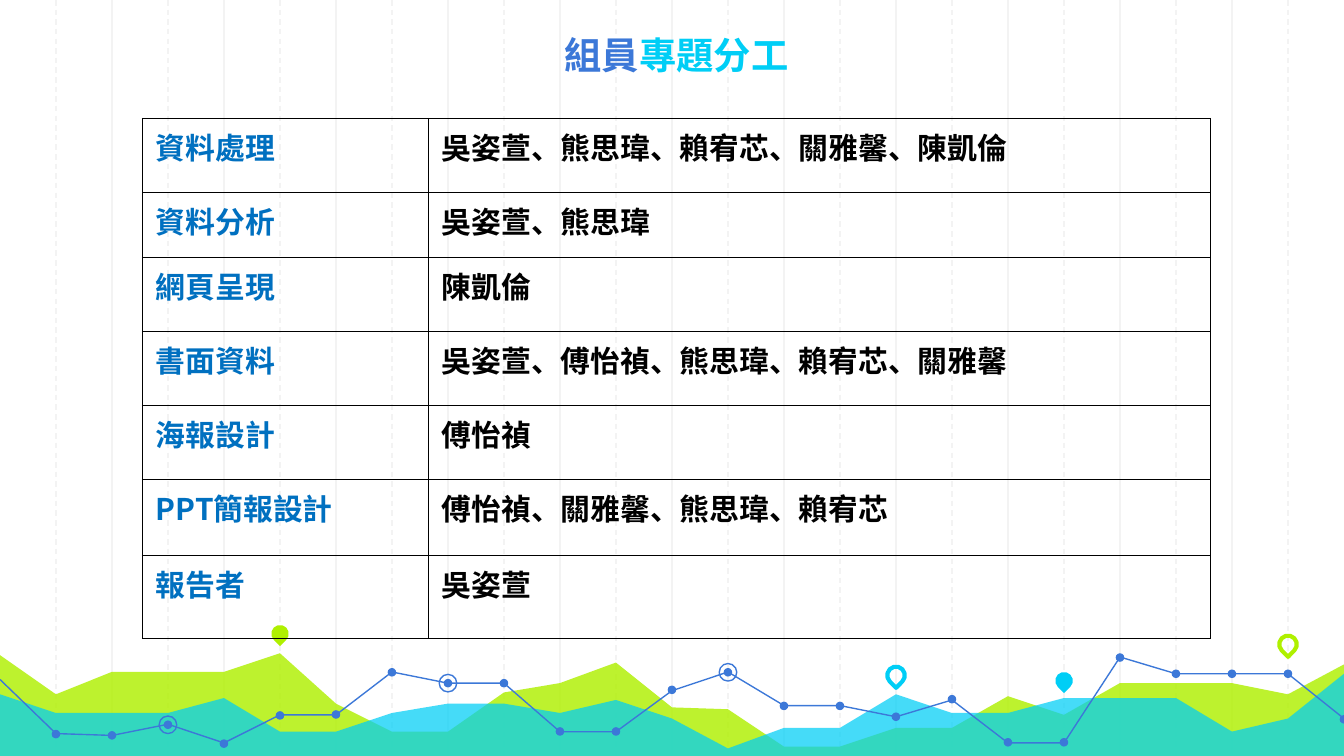
import dataclasses
import typing

import lxml.etree
import pptx
import pptx.dml.color
import pptx.enum.dml
import pptx.enum.shapes
import pptx.enum.text
import pptx.oxml.ns
import pptx.util

Pt = pptx.util.Pt
RGB = pptx.dml.color.RGBColor.from_string
SHAPE = pptx.enum.shapes.MSO_SHAPE
qn = pptx.oxml.ns.qn
Points = list[tuple[float, float]]


@dataclasses.dataclass(frozen=True)
class Theme:
    font: str = "Noto Sans CJK SC"
    title_size: float = 20
    body_size: float = 16
    thin: float = 0.75
    thick: float = 2.25
    grid: str = "F3F3F3"
    lime: str = "AFF000"
    cyan: str = "00CEF6"
    blue: str = "3C78D8"
    label: str = "0070C0"
    black: str = "000000"


class Area(typing.NamedTuple):
    color: str
    alpha: int
    ridge: Points


class Pin(typing.NamedTuple):
    column: int
    y: float
    color: str
    solid: bool


class Duty(typing.NamedTuple):
    task: str
    members: str
    height: float


T = Theme()
WIDTH, HEIGHT, STEP = 720, 405, 30
BOTTOM = 406.5
DOT, MARK = 4.6, 9.4

AREAS = [
    Area(T.lime, 82, [
        (0, 350.6), (1, 372.2), (2, 360), (4, 360), (5, 349.9), (6, 376.6),
        (7, 391.7), (8, 391.7), (9, 370.8), (10, 365.8), (11, 355), (12, 379.4),
        (13, 380.2), (14, 399.6), (15, 399.6), (16, 389.5), (17, 389.5), (18, 373),
        (19, 383), (20, 366.5), (22, 365.8), (23, 372.2), (24, 355.7)]),
    Area(T.cyan, 73, [
        (0, 371.5), (1, 382.3), (3, 382.3), (4, 373.7), (5, 392.4), (6, 392.4),
        (7, 382.3), (8, 376.6), (9, 376.6), (10, 381.6), (11, 375.1), (12, 385.2),
        (13, 401), (14, 390.2), (15, 390.2), (16, 372.2), (17, 382.3), (18, 382.3),
        (19, 373.7), (21, 373.7), (22, 391.7), (23, 385.2), (24, 360.7)]),
]
PINS = [
    Pin(5, 339.5, T.lime, True),
    Pin(16, 361.8, T.cyan, False),
    Pin(19, 364.7, T.cyan, True),
    Pin(23, 345.2, T.lime, False),
]
TREND = [
    364.3, 393.3, 394, 388.3, 398.4, 383.3, 382.8, 360.2, 366, 366, 391.9, 391.9,
    369.6, 360.2, 378.2, 378.2, 384, 374.6, 397.7, 397.7, 352.3, 361, 361, 361, 385.4]
TREND_PARTS = [(0, 11), (11, 20), (20, 24)]
RINGED = [3, 8, 13]
DUTIES = [
    Duty("資料處理", "吳姿萱、熊思瑋、賴宥芯、關雅馨、陳凱倫", 39.6),
    Duty("資料分析", "吳姿萱、熊思瑋", 34.8),
    Duty("網頁呈現", "陳凱倫", 39.6),
    Duty("書面資料", "吳姿萱、傅怡禎、熊思瑋、賴宥芯、關雅馨", 39.6),
    Duty("海報設計", "傅怡禎", 39.6),
    Duty("PPT簡報設計", "傅怡禎、關雅馨、熊思瑋、賴宥芯", 40.8),
    Duty("報告者", "吳姿萱", 44.6),
]


def set_all(obj: typing.Any, values: dict[str, typing.Any]) -> None:
    for name, value in values.items():
        setattr(obj, name, value)


def paint(sp: typing.Any, fill: str | None = None, line: str | None = None,
          width: float = T.thin) -> None:
    sp.shadow.inherit = False
    for target, color in ((sp.fill, fill), (sp.line.fill, line)):
        if color:
            target.solid()
            target.fore_color.rgb = RGB(color)
        else:
            target.background()
    if line:
        sp.line.width = Pt(width)


def add_grid_line(s: typing.Any, x: float, dashed: bool) -> None:
    c = s.shapes.add_connector(
        pptx.enum.shapes.MSO_CONNECTOR.STRAIGHT, Pt(x), 0, Pt(x), Pt(BOTTOM))
    c.line.color.rgb = RGB(T.grid)
    c.line.width = Pt(T.thin)
    if dashed:
        c.line.dash_style = pptx.enum.dml.MSO_LINE.DASH
    lxml.etree.SubElement(c.element.spPr, qn("a:effectLst"))


def add_path(s: typing.Any, points: Points, close: bool) -> typing.Any:
    fb = s.shapes.build_freeform(*points[0], scale=float(Pt(1)))
    fb.add_line_segments(points[1:], close=close)
    return fb.convert_to_shape()


def add_area(s: typing.Any, area: Area) -> None:
    ridge = [(i * STEP, y) for i, y in area.ridge]
    sp = add_path(s, ridge + [(WIDTH, BOTTOM), (0, BOTTOM)], True)
    paint(sp, fill=area.color)
    clr = sp.element.spPr.find(qn("a:solidFill")).find(qn("a:srgbClr"))
    lxml.etree.SubElement(clr, qn("a:alpha"), val=str(area.alpha * 1000))


def add_marker(s: typing.Any, kind: typing.Any, x: float, y: float, size: float) -> typing.Any:
    return s.shapes.add_shape(
        kind, Pt(x - size / 2), Pt(y - size / 2), Pt(size), Pt(size))


def add_pin(s: typing.Any, pin: Pin) -> None:
    sp = add_marker(s, SHAPE.TEAR, pin.column * STEP, pin.y, MARK)
    sp.rotation = 135
    if pin.solid:
        paint(sp, fill=pin.color)
    else:
        paint(sp, line=pin.color, width=T.thick)


def add_trend(s: typing.Any) -> None:
    points = [(i * STEP, y) for i, y in enumerate(TREND)]
    for first, last in TREND_PARTS:
        paint(add_path(s, points[first:last + 1], False), line=T.blue)
    for x, y in points[1:]:
        paint(add_marker(s, SHAPE.OVAL, x, y, DOT), fill=T.blue)
    for i in RINGED:
        paint(add_marker(s, SHAPE.OVAL, *points[i], MARK), line=T.blue)


def add_run(p: typing.Any, text: str, size: float, color: str) -> None:
    r = p.add_run()
    r.text = text
    set_all(r.font, {"size": Pt(size), "bold": True, "name": T.font})
    r.font.color.rgb = RGB(color)
    lxml.etree.SubElement(r.font._element, qn("a:ea"), typeface=T.font)


def add_title(s: typing.Any) -> None:
    tf = s.shapes.add_textbox(Pt(5), Pt(11.5), Pt(715), Pt(36.7)).text_frame
    set_all(tf, {"word_wrap": True, "vertical_anchor": pptx.enum.text.MSO_ANCHOR.BOTTOM})
    set_all(tf, {f"margin_{side}": Pt(7.2) for side in ("left", "right", "top", "bottom")})
    p = tf.paragraphs[0]
    p.alignment = pptx.enum.text.PP_ALIGN.CENTER
    add_run(p, "組員", T.title_size, T.blue)
    add_run(p, "專題分工", T.title_size, T.cyan)


def fill_cell(cell: typing.Any, text: str, color: str) -> None:
    add_run(cell.text_frame.paragraphs[0], text, T.body_size, color)
    cell.fill.background()
    tc_pr = cell._tc.get_or_add_tcPr()
    for i, side in enumerate("LRTB"):
        ln = lxml.etree.Element(qn(f"a:ln{side}"), w=str(int(Pt(T.thin))))
        fill = lxml.etree.SubElement(ln, qn("a:solidFill"))
        lxml.etree.SubElement(fill, qn("a:srgbClr"), val=T.black)
        tc_pr.insert(i, ln)


def add_duties(s: typing.Any) -> None:
    widths = [153.2, 419]
    table = s.shapes.add_table(
        len(DUTIES), len(widths), Pt(76.3), Pt(63.5), Pt(sum(widths)),
        Pt(sum(d.height for d in DUTIES))).table
    set_all(table, {"first_row": False, "horz_banding": False})
    for column, width in zip(table.columns, widths):
        column.width = Pt(width)
    for row, duty in zip(table.rows, DUTIES):
        row.height = Pt(duty.height)
        fill_cell(row.cells[0], duty.task, T.label)
        fill_cell(row.cells[1], duty.members, T.black)


def main() -> None:
    prs = pptx.Presentation()
    set_all(prs, {"slide_width": Pt(WIDTH), "slide_height": Pt(HEIGHT)})
    s = prs.slides.add_slide(prs.slide_layouts[6])
    for first, dashed in ((2, False), (1, True)):
        for i in range(first, WIDTH // STEP, 2):
            add_grid_line(s, i * STEP, dashed)
    for area in AREAS:
        add_area(s, area)
    for pin in PINS:
        add_pin(s, pin)
    add_trend(s)
    add_title(s)
    add_duties(s)
    prs.save("out.pptx")


if __name__ == "__main__":
    main()
